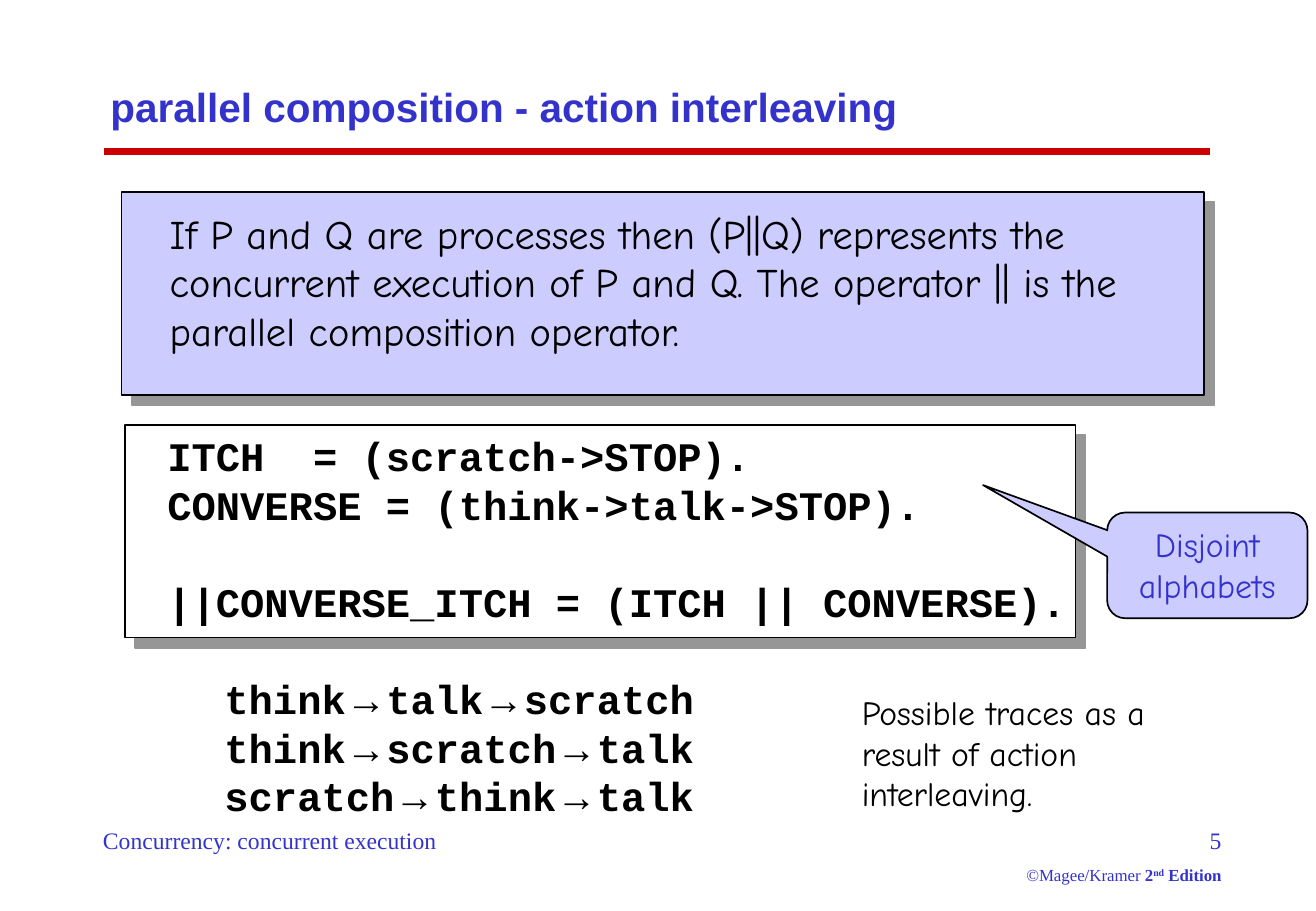
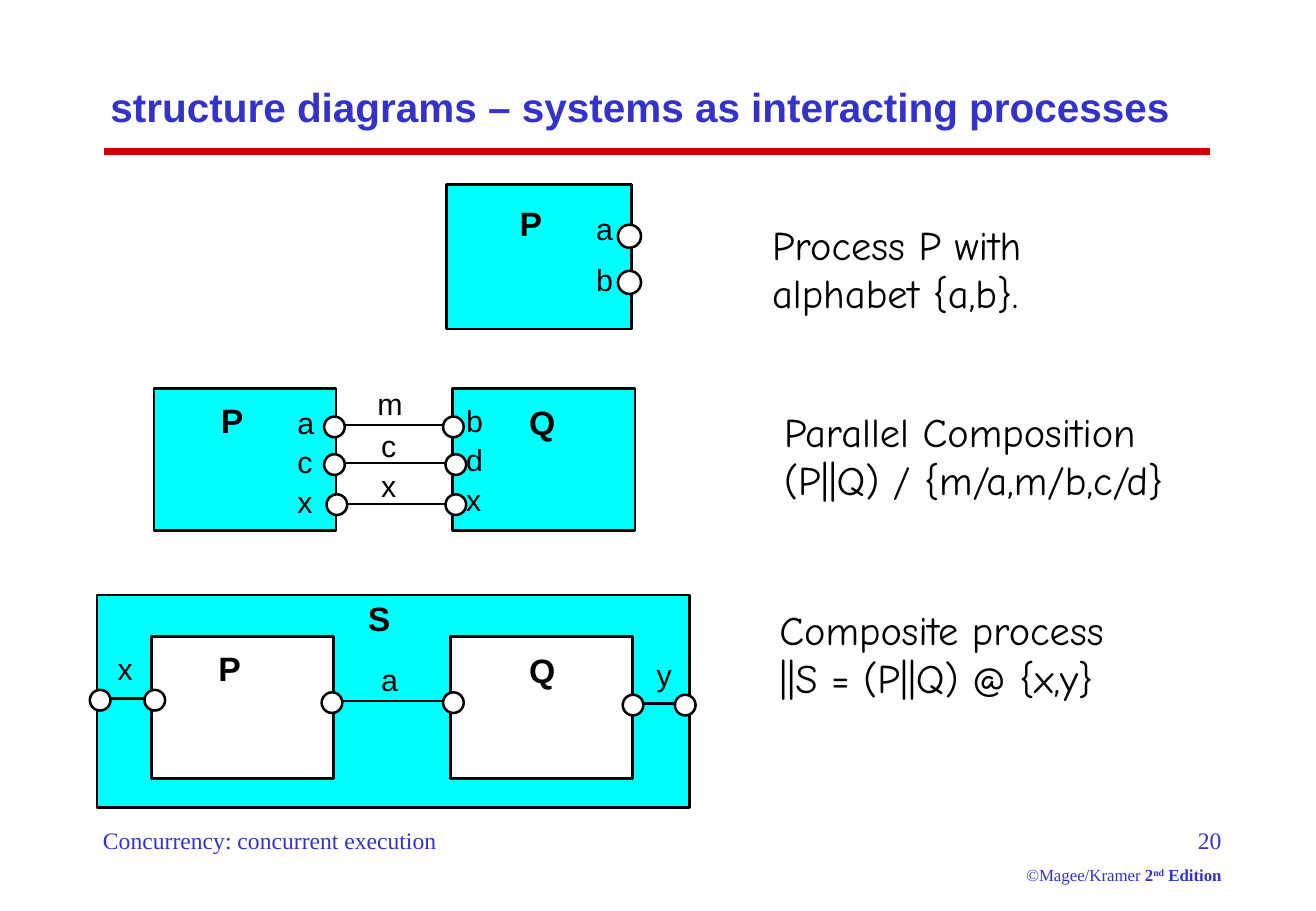
from dataclasses import dataclass
from typing import Any, NamedTuple, Optional

from lxml import etree
from pptx import Presentation
from pptx import util as u
from pptx.dml.color import RGBColor
from pptx.enum import shapes, text
from pptx.oxml import ns


@dataclass(frozen=True)
class Theme:
    blue: str = "3333CC"
    red: str = "CC0000"
    lilac: str = "CCCCFF"
    cyan: str = "00FFFF"
    white: str = "FFFFFF"
    black: str = "000000"
    gray: str = "969696"
    sans: str = "Arial"
    hand: str = "Comic Neue"
    code: str = "Courier New"
    serif: str = "Times New Roman"
    large: float = 24
    medium: float = 20
    label: float = 18
    footer: float = 14
    small: float = 10


THEME = Theme()


class Box(NamedTuple):
    left: float
    top: float
    width: float
    height: float

    def lengths(self) -> list[u.Length]:
        return [u.Inches(value) for value in self]


class Style(NamedTuple):
    name: str
    size: float
    color: str = THEME.black
    bold: bool = False


class Label(NamedTuple):
    words: str
    left: float
    top: float


class Wire(NamedTuple):
    start: float
    end: float
    y: float


TITLE = Style(THEME.sans, THEME.large, THEME.blue, True)
CODE = Style(THEME.code, THEME.large, bold=True)
ARROW = Style(THEME.sans, THEME.large, bold=True)
BODY = Style(THEME.hand, THEME.large)
NOTE = Style(THEME.hand, THEME.medium)
CALLOUT = Style(THEME.hand, THEME.medium, THEME.blue)
PROCESS = Style(THEME.sans, THEME.medium, bold=True)
ACTION = Style(THEME.sans, THEME.label)
FOOTER = Style(THEME.serif, THEME.footer, THEME.blue)
CREDIT = Style(THEME.serif, THEME.small, THEME.blue)
CREDIT_BOLD = CREDIT._replace(bold=True)

PORT_SIZE = 0.17
LINE_WIDTH = 1.5


# Text
def set_format(target: Any, values: dict[str, Any]) -> None:
    for name, value in values.items():
        setattr(target, name, value)


def add_run(paragraph: Any, words: str, style: Style) -> Any:
    run = paragraph.add_run()
    run.text = words
    set_format(run.font, {"name": style.name, "size": u.Pt(style.size), "bold": style.bold})
    run.font.color.rgb = RGBColor.from_string(style.color)
    return run


def set_margins(frame: Any, horizontal: float, vertical: float) -> None:
    set_format(frame, {
        "margin_left": u.Inches(horizontal), "margin_right": u.Inches(horizontal),
        "margin_top": u.Inches(vertical), "margin_bottom": u.Inches(vertical),
    })


def add_text(slide: Any, box: Box, lines: list[str], style: Style,
             inset: bool = True, wrap: bool = True) -> Any:
    frame = slide.shapes.add_textbox(*box.lengths()).text_frame
    frame.word_wrap = wrap
    set_margins(frame, 0.1 if inset else 0, 0.05 if inset else 0)
    for index, line in enumerate(lines):
        paragraph = frame.add_paragraph() if index else frame.paragraphs[0]
        # Arrows between actions take the sans font
        for part_index, part in enumerate(line.split("→")):
            if part_index:
                add_run(paragraph, "→", ARROW)
            add_run(paragraph, part, style)
    return frame


# Shapes
def add_block(slide: Any, box: Box, fill: str, width: float = LINE_WIDTH,
              kind: Any = shapes.MSO_SHAPE.RECTANGLE, shadow: bool = False) -> Any:
    shape = slide.shapes.add_shape(kind, *box.lengths())
    shape.shadow.inherit = False
    shape.fill.solid()
    shape.fill.fore_color.rgb = RGBColor.from_string(fill)
    shape.line.color.rgb = RGBColor.from_string(THEME.black)
    shape.line.width = u.Pt(width)
    if shadow:
        effects = shape._element.spPr.find(ns.qn("a:effectLst"))
        outer = etree.SubElement(effects, ns.qn("a:outerShdw"), dist=str(u.Pt(8.5)),
                                 dir="2700000", algn="ctr", rotWithShape="0")
        etree.SubElement(outer, ns.qn("a:srgbClr"), val=THEME.gray)
    return shape


def add_line(slide: Any, wire: Wire, color: str = THEME.black, width: float = LINE_WIDTH) -> None:
    connector = slide.shapes.add_connector(
        shapes.MSO_CONNECTOR.STRAIGHT, u.Inches(wire.start), u.Inches(wire.y),
        u.Inches(wire.end), u.Inches(wire.y))
    connector.line.color.rgb = RGBColor.from_string(color)
    connector.line.width = u.Pt(width)
    etree.SubElement(connector._element.spPr, ns.qn("a:effectLst"))


def add_port(slide: Any, left: float, top: float, size: float = PORT_SIZE) -> None:
    add_block(slide, Box(left, top, size, size), THEME.white, kind=shapes.MSO_SHAPE.OVAL)


def add_labels(slide: Any, labels: list[Label], style: Style) -> None:
    for label in labels:
        add_text(slide, Box(label.left, label.top, 0.2, style.size / 60),
                 [label.words], style, inset=False, wrap=False)


# Title, rule and footer of every slide
def add_slide(presentation: Any, title: str, number: int) -> Any:
    slide = presentation.slides.add_slide(presentation.slide_layouts[5])
    add_line(slide, Wire(0.86, 9.97, 1.25), THEME.red, 4)

    placeholder = slide.shapes.title
    names = ("left", "top", "width", "height")
    set_format(placeholder, dict(zip(names, Box(0.81, 0.5, 9.27, 0.75).lengths())))
    frame = placeholder.text_frame
    set_margins(frame, 0.1, 0.05)
    set_format(frame, {"word_wrap": True, "auto_size": text.MSO_AUTO_SIZE.NONE,
                       "vertical_anchor": text.MSO_ANCHOR.MIDDLE})
    frame.paragraphs[0].alignment = text.PP_ALIGN.LEFT
    add_run(frame.paragraphs[0], title, TITLE)

    add_text(slide, Box(0.75, 6.75, 3.42, 0.34), ["Concurrency: concurrent execution"], FOOTER)
    frame = add_text(slide, Box(8.25, 6.75, 1.91, 0.59), [str(number)], FOOTER)
    credit = frame.add_paragraph()
    credit.space_before = u.Pt(6.2)
    add_run(credit, "©Magee/Kramer ", CREDIT)
    add_run(credit, "2", CREDIT_BOLD)
    ordinal = add_run(credit, "nd", CREDIT_BOLD)
    ordinal.font._element.set("baseline", "30000")
    add_run(credit, " Edition", CREDIT_BOLD)
    for paragraph in frame.paragraphs:
        paragraph.alignment = text.PP_ALIGN.RIGHT
    return slide


def build_interleaving(presentation: Any) -> None:
    slide = add_slide(presentation, "parallel composition - action interleaving", 5)

    # Definition
    add_block(slide, Box(1, 1.58, 8.92, 1.67), THEME.lilac, 1, shadow=True)
    add_text(slide, Box(1.3, 1.67, 8.7, 1.3), [
        "If P and Q are processes then (P||Q) represents the concurrent execution "
        "of P and Q. The operator || is the parallel composition operator."], BODY)

    # Process code
    add_block(slide, Box(1.03, 3.5, 7.83, 1.75), THEME.white, 1, shadow=True)
    frame = add_text(slide, Box(1.28, 3.5, 7.83, 1.7), [
        "ITCH  = (scratch->STOP).",
        "CONVERSE = (think->talk->STOP).",
        "||CONVERSE_ITCH = (ITCH || CONVERSE)."], CODE)
    frame.paragraphs[-1].space_before = u.Pt(28.8)

    # Callout
    callout = add_block(slide, Box(9.12, 4.22, 1.65, 0.87), THEME.lilac, 1,
                        shapes.MSO_SHAPE.ROUNDED_RECTANGULAR_CALLOUT)
    for index, value in enumerate((-1.12, -0.76, 0.17)):
        callout.adjustments[index] = value
    frame = callout.text_frame
    set_margins(frame, 0.1, 0.05)
    set_format(frame, {"word_wrap": True, "vertical_anchor": text.MSO_ANCHOR.TOP})
    frame.paragraphs[0].alignment = text.PP_ALIGN.CENTER
    add_run(frame.paragraphs[0], "Disjoint alphabets", CALLOUT)

    # Traces
    add_text(slide, Box(1.75, 5.5, 6.42, 1.3), [
        "think→talk→scratch", "think→scratch→talk", "scratch→think→talk"], CODE)
    add_text(slide, Box(7, 5.65, 2.58, 1.1),
             ["Possible traces as a result of action interleaving."], NOTE)


def build_structure(presentation: Any) -> None:
    slide = add_slide(presentation, "structure diagrams – systems as interacting processes", 20)

    # Single process
    add_block(slide, Box(3.68, 1.52, 1.52, 1.19), THEME.cyan)
    for top in (1.85, 2.23):
        add_port(slide, 5.09, top, 0.19)

    # Parallel composition
    for left in (1.27, 3.73):
        add_block(slide, Box(left, 3.2, 1.5, 1.17), THEME.cyan)
    for wire in (Wire(2.82, 3.65, 3.5), Wire(2.82, 3.67, 3.81), Wire(2.82, 3.67, 4.15)):
        add_line(slide, wire)
    for left, top in ((2.67, 3.43), (3.65, 3.43), (2.67, 3.74),
                      (3.67, 3.74), (2.69, 4.07), (3.67, 4.07)):
        add_port(slide, left, top)

    # Composite process
    add_block(slide, Box(0.8, 4.9, 4.88, 1.75), THEME.cyan)
    for left in (1.25, 3.71):
        add_block(slide, Box(left, 5.24, 1.5, 1.17), THEME.white)
    for wire in (Wire(0.89, 1.19, 5.75), Wire(2.8, 3.65, 5.77), Wire(5.28, 5.56, 5.79)):
        add_line(slide, wire)
        # Each wire joins two ports
        add_port(slide, wire.start - 0.15, wire.y - 0.07)
        add_port(slide, wire.end, wire.y - 0.07)

    # Process and action names
    add_labels(slide, [
        Label("P", 4.28, 1.67), Label("P", 1.82, 3.29), Label("Q", 4.36, 3.31),
        Label("S", 3.03, 4.92), Label("P", 1.8, 5.33), Label("Q", 4.36, 5.35)], PROCESS)
    add_labels(slide, [
        Label("a", 4.91, 1.73), Label("b", 4.91, 2.15),
        Label("a", 2.45, 3.33), Label("c", 2.45, 3.65), Label("x", 2.45, 3.98),
        Label("b", 3.84, 3.31), Label("d", 3.84, 3.63), Label("x", 3.84, 3.96),
        Label("m", 3.11, 3.17), Label("c", 3.14, 3.52), Label("x", 3.14, 3.85),
        Label("x", 0.97, 5.35), Label("a", 3.14, 5.44), Label("y", 5.41, 5.4)], ACTION)

    # Descriptions
    for left, top, lines in (
            (6.36, 1.81, ["Process P with", "alphabet {a,b}."]),
            (6.46, 3.35, ["Parallel Composition", "(P||Q) / {m/a,m/b,c/d}"]),
            (6.42, 4.98, ["Composite process", "||S = (P||Q) @ {x,y}"])):
        add_text(slide, Box(left, top, 3.4, 0.8), lines, BODY, inset=False)


def main() -> None:
    presentation = Presentation()
    presentation.slide_width = u.Inches(10.84)
    presentation.slide_height = u.Inches(7.5)
    build_interleaving(presentation)
    build_structure(presentation)
    presentation.save("out.pptx")


if __name__ == "__main__":
    main()
